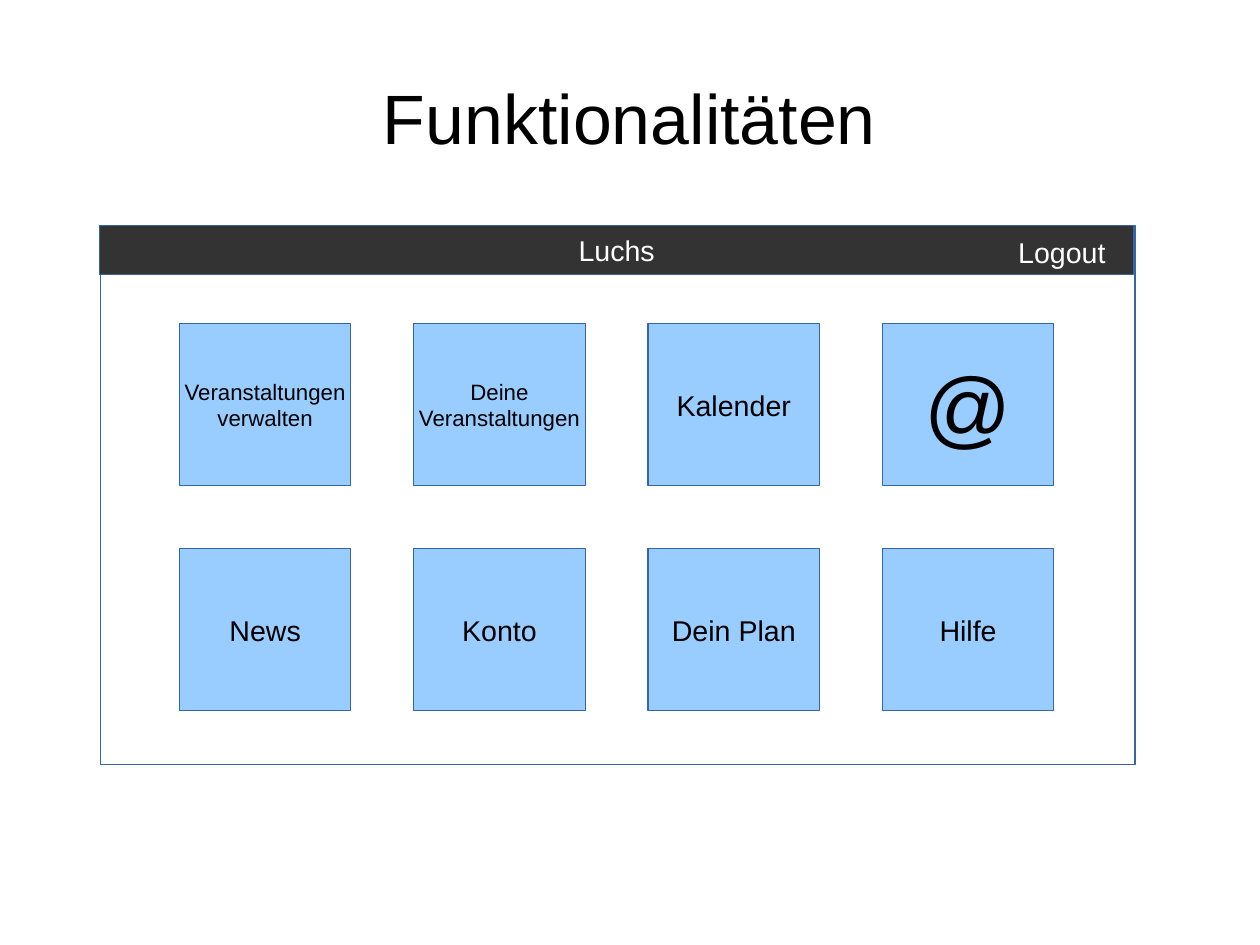
"""Build the slide showing the app's start screen and its eight functions."""
from pptx import Presentation
from pptx.dml.color import RGBColor
from pptx.enum.shapes import MSO_SHAPE as Shape
from pptx.enum.text import MSO_ANCHOR as Anchor, PP_ALIGN as Align
from pptx.util import Inches, Pt


def write(frame, text, size=18, color="000000", wrap=False, margins=(0.1, 0.05)):
    frame.word_wrap = wrap
    frame.vertical_anchor = Anchor.MIDDLE
    frame.margin_left = frame.margin_right = Inches(margins[0])
    frame.margin_top = frame.margin_bottom = Inches(margins[1])
    frame.text = text
    for paragraph in frame.paragraphs:
        paragraph.alignment = Align.CENTER
        paragraph.font.name = "Arial"
        paragraph.font.size = Pt(size)
        paragraph.font.color.rgb = RGBColor.from_string(color)


def add_panel(left, top, width, height, fill, line="3465A4", weight=0.75):
    panel = slide.shapes.add_shape(
        Shape.RECTANGLE, Inches(left), Inches(top), Inches(width), Inches(height))
    panel.shadow.inherit = False
    panel.fill.solid()
    panel.fill.fore_color.rgb = RGBColor.from_string(fill)
    panel.line.color.rgb = RGBColor.from_string(line)
    panel.line.width = Pt(weight)
    return panel.text_frame


presentation = Presentation()
presentation.slide_width = Inches(28 / 2.54)
presentation.slide_height = Inches(21 / 2.54)
slide = presentation.slides.add_slide(presentation.slide_layouts[6])

title = slide.shapes.add_textbox(Inches(0.55), Inches(0.33), Inches(9.92), Inches(1.38))
write(title.text_frame, "Funktionalitäten", size=44, wrap=True, margins=(0, 0))

add_panel(0.88, 1.97, 9.05, 4.72, "FFFFFF")
header = add_panel(0.87, 1.97, 9.05, 0.43, "333333")
write(header, "Luchs", color="FFFFFF")

functions = [
    [("Veranstaltungen\nverwalten", 14), ("Deine\nVeranstaltungen", 14),
     ("Kalender", 18), ("@", 54)],
    [("News", 18), ("Konto", 18), ("Dein Plan", 18), ("Hilfe", 18)],
]
for row, tiles in enumerate(functions):
    for column, (label, size) in enumerate(tiles):
        tile = add_panel(1.57 + 2.05 * column, 2.83 + 1.97 * row, 1.5, 1.42, "99CCFF")
        write(tile, label, size=size)

logout = add_panel(8.74, 2.05, 1.1, 0.31, "333333", line="333333", weight=0.5)
write(logout, "Logout", color="FFFFFF")

presentation.save("out.pptx")
